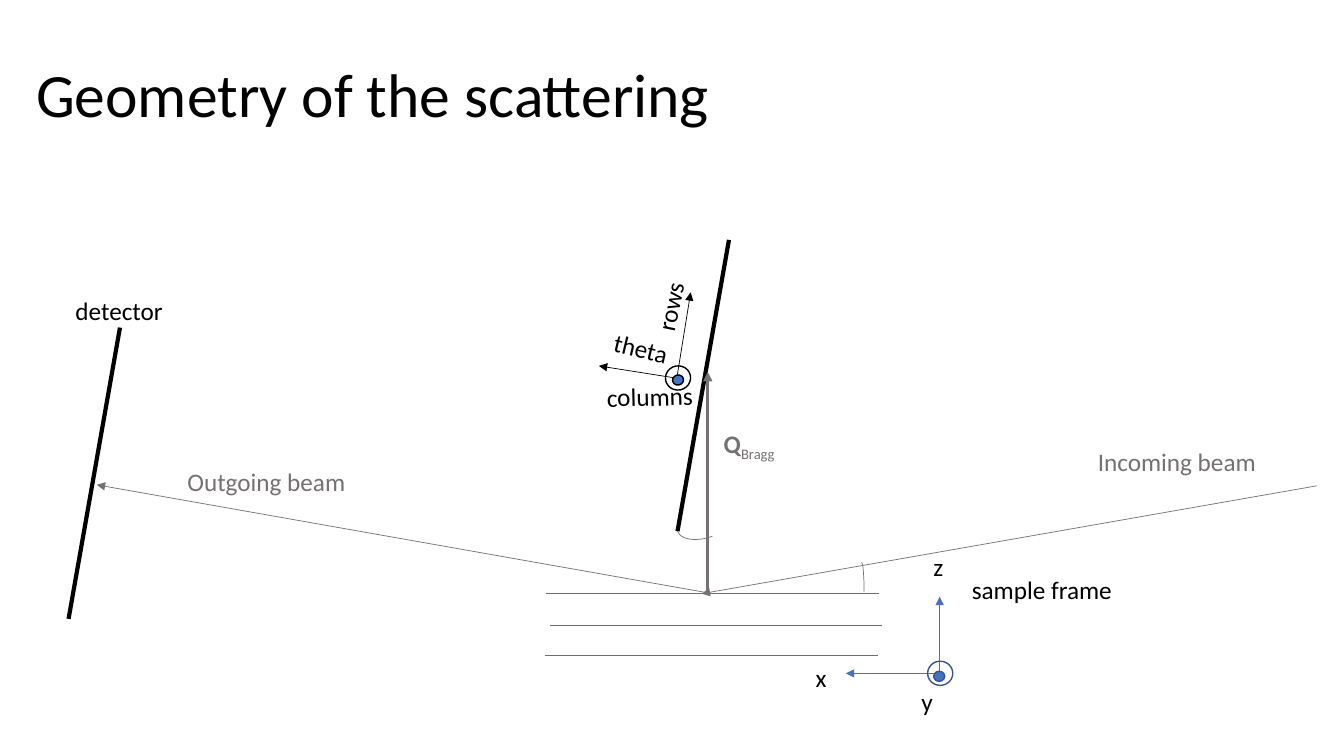
from lxml import etree
from pptx import Presentation
from pptx.dml.color import RGBColor
from pptx.enum import shapes, text
from pptx.oxml import ns
from pptx.util import Inches, Pt

BLACK = RGBColor(0x00, 0x00, 0x00)
GREY = RGBColor(0x76, 0x71, 0x71)
BLUE = RGBColor(0x44, 0x72, 0xC4)
NAVY = RGBColor(0x32, 0x54, 0x91)
FONT = "Calibri"

TITLE = ("Geometry of the scattering", (0.26, 0.24, 6.97, 1.45))

# start, end, colour, width in points, arrow at the end
DETECTORS = [
    ((7.23, 2.38), (6.72, 5.27), BLACK, 3, False),
    ((1.19, 3.25), (0.68, 6.14), BLACK, 3, False),
]
AXES = [
    ((6.71, 3.77), (6.85, 2.90), BLACK, 0.5, True),
    ((6.70, 3.75), (5.94, 3.63), BLACK, 0.5, True),
    ((9.32, 6.68), (9.32, 5.92), BLUE, 0.5, True),
    ((9.36, 6.68), (8.39, 6.68), BLUE, 0.5, True),
]
BEAMS = [
    ((7.02, 5.89), (7.02, 3.69), GREY, 2.25, True),
    ((13.06, 4.82), (6.96, 5.89), GREY, 0.5, True),
    ((7.07, 5.89), (0.96, 4.81), GREY, 0.5, True),
]
PLANE_STARTS = [(5.42, 5.89), (5.45, 6.20), (5.41, 6.50)]
PLANE_LENGTH = 3.3

# ring corner, dot corner, outline, rotation
OUT_OF_PAGE_AXES = [
    ((6.60, 3.63), (6.67, 3.72), BLACK, 348.7),
    ((9.20, 6.56), (9.26, 6.66), NAVY, 0),
]
RING_SIZE = (0.25, 0.24)
DOT_SIZE = (0.11, 0.10)

ANGLE_ARCS = [((6.70, 5.00, 0.62, 0.33), 160.3), ((8.52, 5.58, 0.05, 0.58), 0)]

# text, left, top, width, colour, rotation
LABELS = [
    ("rows", 6.30, 2.84, 0.69, BLACK, 281.7),
    ("columns", 5.92, 3.73, 1.06, BLACK, 358.6),
    ("theta", 5.99, 3.26, 0.75, BLACK, 13.5),
    ("z", 9.16, 5.42, 0.30, BLACK, 0),
    ("x", 7.99, 6.52, 0.31, BLACK, 0),
    ("y", 9.04, 6.76, 0.32, BLACK, 0),
    ("sample frame", 9.54, 5.65, 1.61, BLACK, 0),
    ("detector", 0.65, 2.88, 1.08, BLACK, 0),
    ("Incoming beam", 10.79, 4.38, 1.79, GREY, 0),
    ("Outgoing beam", 1.76, 4.58, 1.79, GREY, 0),
]
LABEL_HEIGHT = 0.4
VECTOR = ("Q", "Bragg", (7.08, 4.20, 0.76, LABEL_HEIGHT))

prs = Presentation()
prs.slide_width, prs.slide_height = Inches(13.33), Inches(7.5)
slide = prs.slides.add_slide(prs.slide_layouts[6])


def inches(values):
    return [Inches(value) for value in values]


def add_line(start, end, colour, width, arrow):
    line = slide.shapes.add_connector(
        shapes.MSO_CONNECTOR.STRAIGHT, *inches(start + end))
    line.line.color.rgb = colour
    line.line.width = Pt(width)
    if arrow:
        etree.SubElement(line.line._get_or_add_ln(), ns.qn("a:tailEnd"),
                         type="triangle")
    etree.SubElement(line._element.spPr, ns.qn("a:effectLst"))


def add_outline(kind, box, colour, width, rotation, fill=None):
    shape = slide.shapes.add_shape(kind, *inches(box))
    shape.shadow.inherit = False
    shape.rotation = rotation
    shape.line.color.rgb = colour
    shape.line.width = Pt(width)
    if fill is None:
        shape.fill.background()
    else:
        shape.fill.solid()
        shape.fill.fore_color.rgb = fill


def add_run(paragraph, words, colour, size=18, bold=False):
    run = paragraph.add_run()
    run.text = words
    formats = {"name": FONT, "size": Pt(size), "bold": bold}
    for attribute, value in formats.items():
        setattr(run.font, attribute, value)
    run.font.color.rgb = colour
    return run


def add_label(box, rotation=0):
    """Add an unwrapped text box and return its first paragraph."""
    label = slide.shapes.add_textbox(*inches(box))
    label.rotation = rotation
    label.text_frame.word_wrap = False
    label.text_frame.auto_size = text.MSO_AUTO_SIZE.SHAPE_TO_FIT_TEXT
    return label.text_frame.paragraphs[0]


heading, heading_box = TITLE
title = slide.shapes.add_textbox(*inches(heading_box)).text_frame
title.word_wrap = True
title.vertical_anchor = text.MSO_ANCHOR.MIDDLE
title.paragraphs[0].line_spacing = 0.9
add_run(title.paragraphs[0], heading, BLACK, size=44)

planes = [((x, y), (x + PLANE_LENGTH, y), BLUE, 0.5, False)
          for x, y in PLANE_STARTS]
for segment in planes + DETECTORS + AXES + BEAMS:
    add_line(*segment)

for ring, dot, outline, rotation in OUT_OF_PAGE_AXES:
    oval = shapes.MSO_SHAPE.OVAL
    add_outline(oval, ring + RING_SIZE, outline, 1, rotation)
    add_outline(oval, dot + DOT_SIZE, outline, 1, rotation, BLUE)

for arc_box, rotation in ANGLE_ARCS:
    add_outline(shapes.MSO_SHAPE.ARC, arc_box, GREY, 0.5, rotation)

for words, left, top, width, colour, rotation in LABELS:
    add_run(add_label((left, top, width, LABEL_HEIGHT), rotation), words, colour)

symbol, index, vector_box = VECTOR
vector = add_label(vector_box)
add_run(vector, symbol, GREY, bold=True)
subscript = add_run(vector, index, GREY)
subscript._r.get_or_add_rPr().set("baseline", "-25000")

prs.save("out.pptx")
